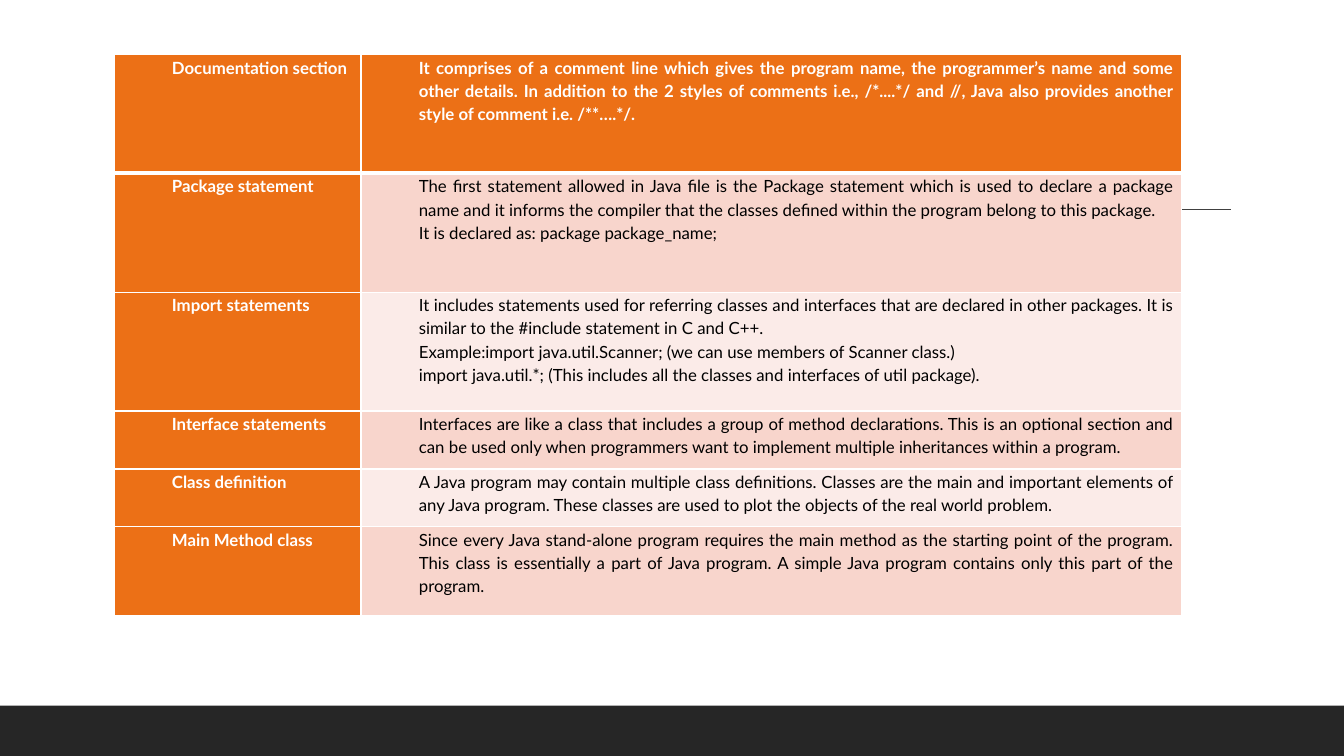
"""Build a slide with a table of the sections of a Java program."""
from dataclasses import dataclass

from lxml import etree
from pptx import Presentation
from pptx.dml.color import RGBColor
from pptx.enum.shapes import MSO_CONNECTOR, MSO_SHAPE
from pptx.enum.text import PP_ALIGN
from pptx.oxml.ns import qn
from pptx.slide import Slide
from pptx.table import Table, _Cell
from pptx.util import Pt

STRAIGHT = MSO_CONNECTOR.STRAIGHT
RECTANGLE = MSO_SHAPE.RECTANGLE
JUSTIFY = PP_ALIGN.JUSTIFY

COLOURS = {
    "accent": "EC7016",
    "dark band": "F8D5CC",
    "light band": "FBEBE8",
    "footer": "262626",
    "rule": "404040",
    "white": "FFFFFF",
    "black": "000000",
}
FONT = "Lato"
COLUMN_WIDTHS = (176.4, 586.2)


@dataclass(frozen=True)
class Section:
    """One table row: a program section and its description."""

    name: str
    details: tuple[str, ...]
    height: float


SECTIONS = (
    Section("Documentation section", (
        "It comprises of a comment line which gives the program name, the programmer’s name "
        "and some other details. In addition to the 2 styles of comments i.e., /*....*/ and //, "
        "Java also provides another style of comment i.e. /**….*/.",
    ), 84.9),
    Section("Package statement", (
        "The first statement allowed in Java file is the Package statement which is used to "
        "declare a package name and it informs the compiler that the classes defined within "
        "the program belong to this package.",
        "It is declared as: package package_name;",
    ), 84.9),
    Section("Import statements", (
        "It includes statements used for referring classes and interfaces that are declared in "
        "other packages. It is similar to the #include statement in C and C++.",
        "Example:import java.util.Scanner; (we can use members of Scanner class.)",
        "import java.util.*; (This includes all the classes and interfaces of util package).",
    ), 84.9),
    Section("Interface statements", (
        "Interfaces are like a class that includes a group of method declarations. This is an "
        "optional section and can be used only when programmers want to implement multiple "
        "inheritances within a program.",
    ), 41.4),
    Section("Class definition", (
        "A Java program may contain multiple class definitions. Classes are the main and "
        "important elements of any Java program. These classes are used to plot the objects of "
        "the real world problem.",
    ), 41.4),
    Section("Main Method class", (
        "Since every Java stand-alone program requires the main method as the starting point of "
        "the program. This class is essentially a part of Java program. A simple Java program "
        "contains only this part of the program.",
    ), 63.4),
)


def colour(name: str) -> RGBColor:
    """Return a named colour."""
    return RGBColor.from_string(COLOURS[name])


def add_footer(slide: Slide) -> None:
    """Draw the dark bar along the bottom edge."""
    bar = slide.shapes.add_shape(RECTANGLE, Pt(0), Pt(504), Pt(960), Pt(36))
    bar.shadow.inherit = False
    bar.fill.solid()
    bar.fill.fore_color.rgb = colour("footer")
    bar.line.fill.background()


def add_rule(slide: Slide) -> None:
    """Draw the thin horizontal line behind the table."""
    rule = slide.shapes.add_connector(STRAIGHT, Pt(94.3), Pt(149.8), Pt(879), Pt(149.8))
    rule.line.color.rgb = colour("rule")
    rule.line.width = Pt(1)
    etree.SubElement(rule._element.spPr, qn("a:effectLst"))


def set_borders(cell: _Cell, top: float, bottom: float) -> None:
    """Give a cell white borders, with the top and bottom widths in points."""
    properties = cell._tc.get_or_add_tcPr()
    for side, width in (("L", 1), ("R", 1), ("T", top), ("B", bottom)):
        border = etree.SubElement(properties, qn(f"a:ln{side}"), w=str(Pt(width)))
        fill = etree.SubElement(border, qn("a:solidFill"))
        etree.SubElement(fill, qn("a:srgbClr"), val=COLOURS["white"])


def write_cell(cell: _Cell, lines: tuple[str, ...], ink: str, bold: bool, space_after: float) -> None:
    """Write justified, indented paragraphs into a cell."""
    cell.margin_left = cell.margin_right = Pt(5.4)
    cell.margin_top = cell.margin_bottom = Pt(0)
    frame = cell.text_frame
    frame.text = "\n".join(lines)
    for para in frame.paragraphs:
        para._p.get_or_add_pPr().set("marL", str(Pt(36)))
        para.alignment = JUSTIFY
        para.line_spacing = 1.15
        para.font.name = FONT
        para.font.size = Pt(12)
        para.font.bold = bold
        para.font.color.rgb = colour(ink)
    frame.paragraphs[-1].space_after = Pt(space_after)


def fill_row(table: Table, index: int, section: Section) -> None:
    """Write and format the two cells of a section."""
    header = index == 0
    table.rows[index].height = Pt(section.height)
    name_cell, detail_cell = table.rows[index].cells
    band = "accent" if header else "dark band" if index % 2 else "light band"
    for cell, shade in ((name_cell, "accent"), (detail_cell, band)):
        set_borders(cell, 3 if index == 1 else 1, 3 if header else 1)
        cell.fill.solid()
        cell.fill.fore_color.rgb = colour(shade)
    write_cell(name_cell, (section.name,), "white", True, 0)
    write_cell(detail_cell, section.details, "white" if header else "black", header, 10)


def add_sections(slide: Slide) -> None:
    """Add the table of program sections."""
    height = sum(section.height for section in SECTIONS)
    table = slide.shapes.add_table(
        len(SECTIONS), len(COLUMN_WIDTHS), Pt(81.4), Pt(38.9), Pt(sum(COLUMN_WIDTHS)), Pt(height)
    ).table
    table.first_row = table.horz_banding = False
    for column, width in zip(table.columns, COLUMN_WIDTHS):
        column.width = Pt(width)
    for index, section in enumerate(SECTIONS):
        fill_row(table, index, section)


def main() -> None:
    """Build and save the deck."""
    deck = Presentation()
    deck.slide_width, deck.slide_height = Pt(960), Pt(540)
    slide = deck.slides.add_slide(deck.slide_layouts.get_by_name("Blank"))
    add_footer(slide)
    add_rule(slide)
    add_sections(slide)
    deck.save("out.pptx")


if __name__ == "__main__":
    main()
